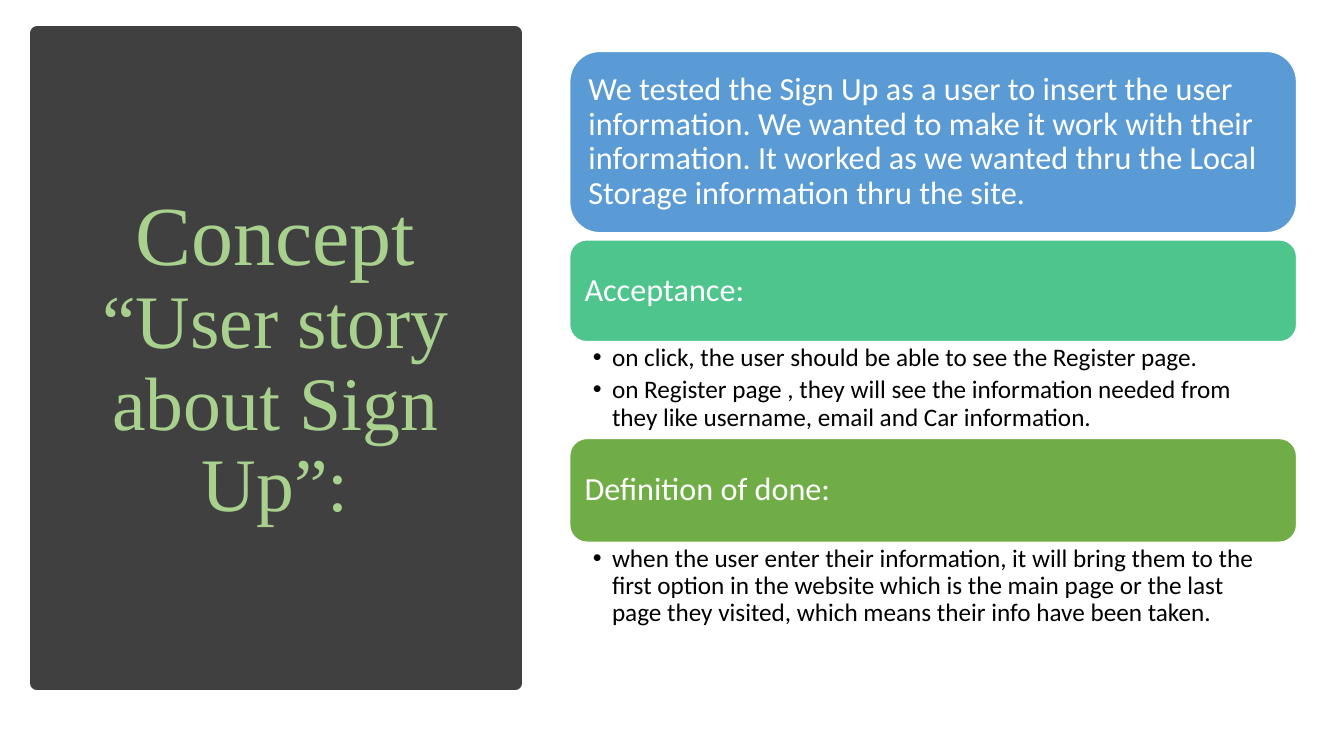
from pptx import Presentation
from pptx.dml.color import RGBColor
from pptx.enum import shapes, text
from pptx.util import Inches, Pt

COLORS = {
    "panel": "404040",
    "title": "A9D18E",
    "story": "5B9BD5",
    "acceptance": "4DC58D",
    "done": "70AD47",
    "white": "FFFFFF",
    "black": "000000",
}
COLUMN_LEFT, COLUMN_WIDTH = 5.65, 7.21


def color(name):
    return RGBColor.from_string(COLORS[name])


def add_block(kind, box, fill, line, line_width):
    """Add a filled, outlined shape without a shadow."""
    shape = slide.shapes.add_shape(kind, *map(Inches, box))
    shape.shadow.inherit = False
    shape.fill.solid()
    shape.fill.fore_color.rgb = color(fill)
    shape.line.color.rgb = color(line)
    shape.line.width = Pt(line_width)
    return shape


presentation = Presentation()
presentation.slide_width = Inches(13.33)
presentation.slide_height = Inches(7.5)
slide = presentation.slides.add_slide(presentation.slide_layouts.get_by_name("Two Content"))
title, *list_placeholders = slide.placeholders

# Dark panel behind the title
panel = add_block(shapes.MSO_SHAPE.RECTANGLE, (0.37, 0.33, 4.74, 6.45), "panel", "panel", 10)
title._element.addprevious(panel._element)

title.left, title.top, title.width, title.height = map(Inches, (0.65, 0.7, 4.16, 5.75))
title.text_frame.auto_size = text.MSO_AUTO_SIZE.NONE
title.text_frame.vertical_anchor = text.MSO_ANCHOR.MIDDLE
paragraph = title.text_frame.paragraphs[0]
paragraph.alignment = text.PP_ALIGN.CENTER
paragraph.line_spacing = 0.9
paragraph.font.name = "Times New Roman"
paragraph.font.color.rgb = color("title")
for words, size in (("Concept ", 60), ("“User story about Sign Up”:", 54)):
    run = paragraph.add_run()
    run.text = words
    run.font.size = Pt(size)

# Coloured headings
headings = [
    (0.51, 1.8, "story",
     "We tested the Sign Up as a user to insert the user information. "
     "We wanted to make it work with their information. It worked as we "
     "wanted thru the Local Storage information thru the site."),
    (2.38, 1.01, "acceptance", "Acceptance:"),
    (4.35, 1.03, "done", "Definition of done:"),
]
for top, height, fill, words in headings:
    heading = add_block(shapes.MSO_SHAPE.ROUNDED_RECTANGLE,
                        (COLUMN_LEFT, top, COLUMN_WIDTH, height), fill, "white", 1)
    frame = heading.text_frame
    frame.word_wrap = True
    frame.vertical_anchor = text.MSO_ANCHOR.MIDDLE
    frame.margin_left = frame.margin_right = Inches(0.1)
    frame.margin_top = frame.margin_bottom = Inches(0.1)
    paragraph = frame.paragraphs[0]
    paragraph.text = words
    paragraph.alignment = text.PP_ALIGN.LEFT
    paragraph.line_spacing = 0.9
    paragraph.font.name = "Calibri"
    paragraph.font.size = Pt(23)
    paragraph.font.color.rgb = color("white")

# Bulleted lists below the headings
lists = [
    (3.39, 0.96, [
        "on click, the user should be able to see the Register page.",
        "on Register page , they will see the information needed from they "
        "like username, email and Car information.",
    ]),
    (5.38, 1.22, [
        "when the user enter their information, it will bring them to the "
        "first option in the website which is the main page or the last page "
        "they visited, which means their info have been taken.",
    ]),
]
for placeholder, (top, height, items) in zip(list_placeholders, lists):
    placeholder.left, placeholder.top = Inches(COLUMN_LEFT), Inches(top)
    placeholder.width, placeholder.height = Inches(COLUMN_WIDTH), Inches(height)
    frame = placeholder.text_frame
    frame.auto_size = text.MSO_AUTO_SIZE.NONE
    frame.vertical_anchor = text.MSO_ANCHOR.TOP
    frame.margin_left, frame.margin_right = Inches(0.23), Inches(0.18)
    frame.margin_top = frame.margin_bottom = Inches(0.03)
    frame.text = "\n".join(items)
    for paragraph in frame.paragraphs:
        properties = paragraph._p.get_or_add_pPr()
        properties.set("marL", str(Inches(0.19)))
        properties.set("indent", str(-Inches(0.19)))
        paragraph.line_spacing = 0.9
        paragraph.space_before = Pt(0)
        paragraph.space_after = Pt(3.6)
        paragraph.font.name = "Calibri"
        paragraph.font.size = Pt(18)
        paragraph.font.color.rgb = color("black")

presentation.save("out.pptx")
